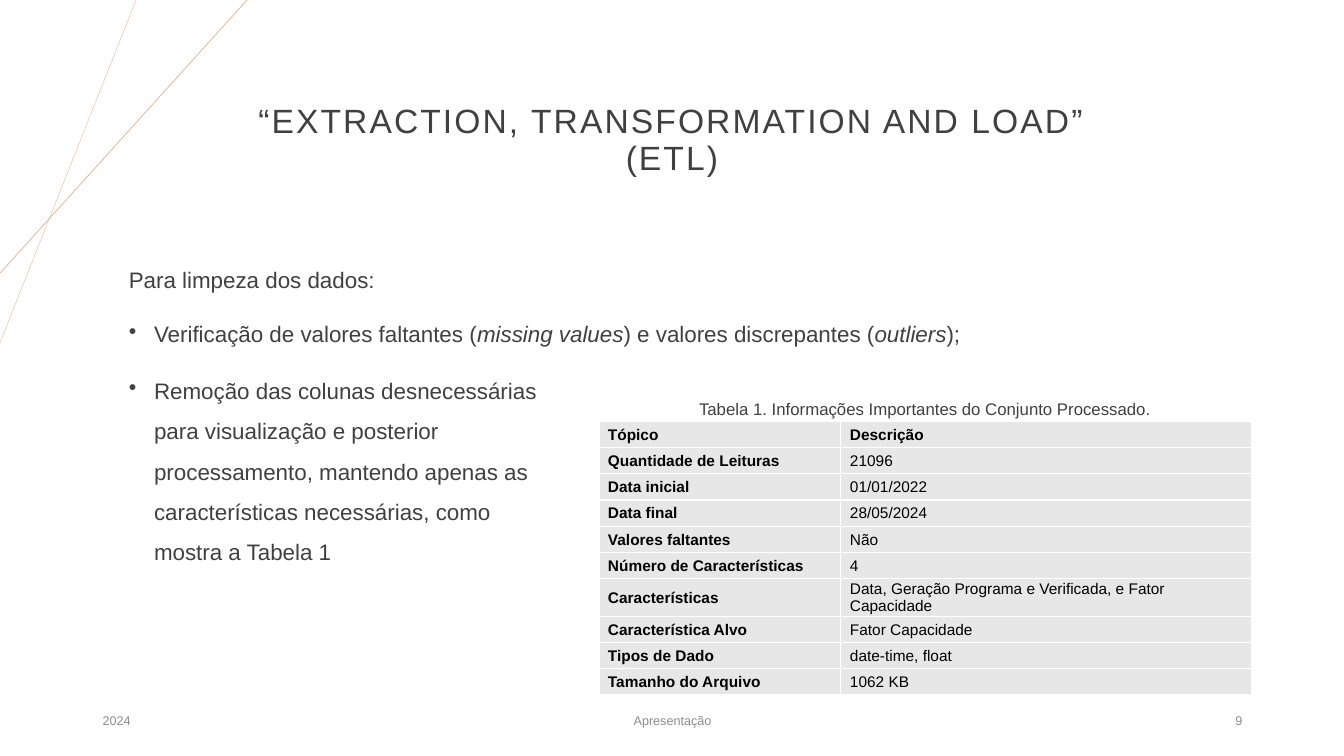
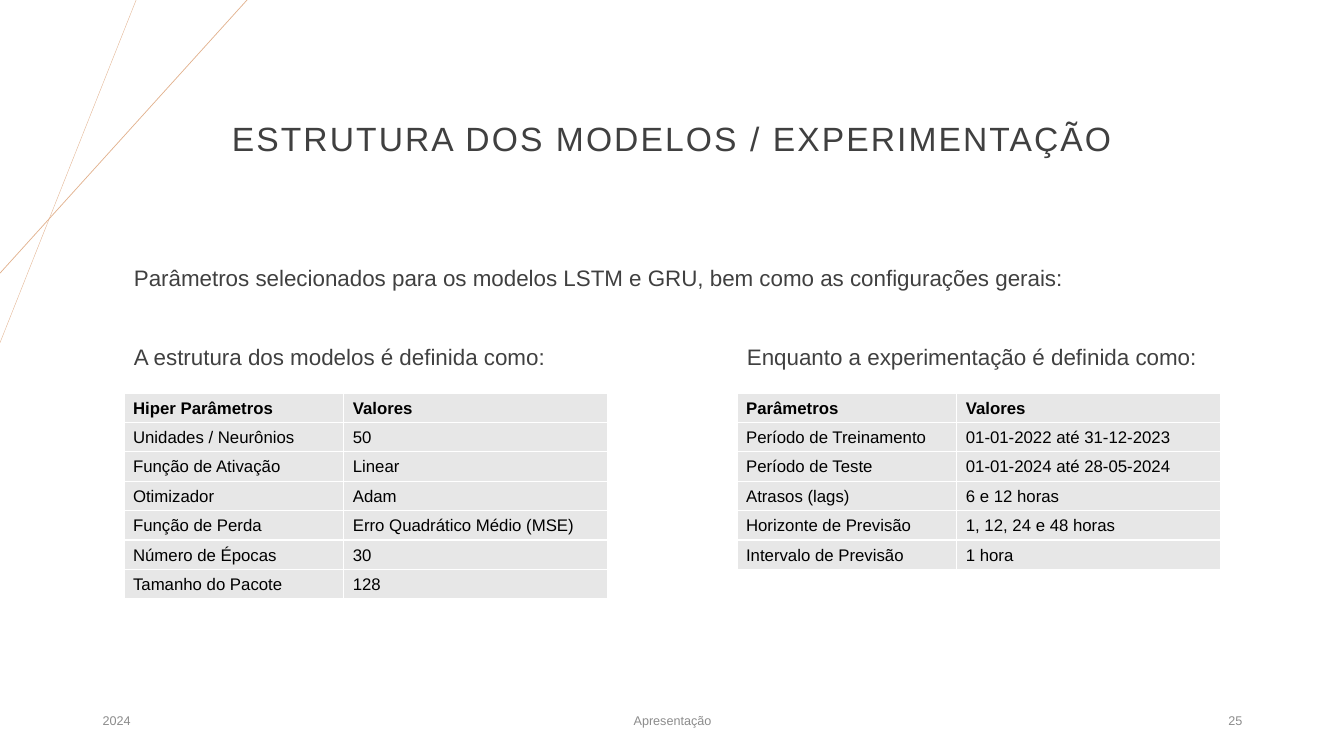
from pptx import Presentation
from pptx.dml.color import RGBColor as Rgb
from pptx.enum.shapes import MSO_CONNECTOR as Conn
from pptx.enum.text import MSO_ANCHOR as Anchor, PP_ALIGN as Align
from pptx.oxml import parse_xml
from pptx.oxml.ns import nsdecls
from pptx.util import Pt

UNIT = 9144  # EMU in one px, 100 px to the inch
FONT = "Arial"
INK, GREY, ACCENT = "404040", "8C8C8C", "E2B18D"
BLACK, WHITE, CELL = "000000", "FFFFFF", "E7E7E7"

TOPICS = [
    ("Tópico", "Descrição"),
    ("Quantidade de Leituras", "21096"),
    ("Data inicial", "01/01/2022"),
    ("Data final", "28/05/2024"),
    ("Valores faltantes", "Não"),
    ("Número de Características", "4"),
    ("Características",
     "Data, Geração Programa e Verificada, e Fator Capacidade"),
    ("Característica Alvo", "Fator Capacidade"),
    ("Tipos de Dado", "date-time, float"),
    ("Tamanho do Arquivo", "1062 KB"),
]
MODEL = [
    ("Hiper Parâmetros", "Valores"),
    ("Unidades / Neurônios", "50"),
    ("Função de Ativação", "Linear"),
    ("Otimizador", "Adam"),
    ("Função de Perda", "Erro Quadrático Médio (MSE)"),
    ("Número de Épocas", "30"),
    ("Tamanho do Pacote", "128"),
]
TRIAL = [
    ("Parâmetros", "Valores"),
    ("Período de Treinamento", "01-01-2022 até 31-12-2023"),
    ("Período de Teste", "01-01-2024 até 28-05-2024"),
    ("Atrasos (lags)", "6 e 12 horas"),
    ("Horizonte de Previsão", "1, 12, 24 e 48 horas"),
    ("Intervalo de Previsão", "1 hora"),
]


def px(*sizes):
    return [size * UNIT for size in sizes]


def color(code):
    return Rgb.from_string(code)


def style(run, size, code, bold=False, italic=False):
    font = run.font
    font.name, font.size = FONT, Pt(size)
    font.bold, font.italic = bold, italic
    font.color.rgb = color(code)


def add_bullet(para):
    props = para._p.get_or_add_pPr()
    props.set("marL", str(25 * UNIT))
    props.set("indent", str(-25 * UNIT))
    props.append(parse_xml(f'<a:buChar {nsdecls("a")} char="•"/>'))


def add_text(slide, area, lines, size=16, code=INK, align=Align.LEFT,
             space=1.5, anchor=Anchor.TOP):
    """Words between asterisks are italic; a leading bullet makes a list item."""
    frame = slide.shapes.add_textbox(*px(*area)).text_frame
    frame.word_wrap = True
    frame.vertical_anchor = anchor
    for i, line in enumerate(lines):
        para = frame.add_paragraph() if i else frame.paragraphs[0]
        if line.startswith("•"):
            add_bullet(para)
        para.alignment, para.line_spacing = align, space
        if i:
            para.space_before = Pt(10)
        for j, part in enumerate(line.removeprefix("•").split("*")):
            run = para.add_run()
            run.text = part
            style(run, size, code, italic=j % 2 == 1)
    return frame


def add_line(slide, start, end, width):
    line = slide.shapes.add_connector(Conn.STRAIGHT, *px(*start, *end))
    line.line.color.rgb = color(ACCENT)
    line.line.width = Pt(width)
    line._element.spPr.append(parse_xml(f'<a:effectLst {nsdecls("a")}/>'))


def add_edges(cell):
    props = cell._tc.get_or_add_tcPr()
    for side in "LRTB":
        props.append(parse_xml(
            f'<a:ln{side} {nsdecls("a")} w="12700"><a:solidFill>'
            f'<a:srgbClr val="{WHITE}"/></a:solidFill></a:ln{side}>'))


def add_grid(slide, spot, cols, height, rows, size=12, lead=False):
    """With lead, the first column is bold as well as the first row."""
    shape = slide.shapes.add_table(
        len(rows), len(cols), *px(*spot, sum(cols), height))
    table = shape.table
    table.horz_banding = False
    for col, width in zip(table.columns, px(*cols)):
        col.width = width
    for row in table.rows:
        row.height = height * UNIT // len(rows)
    for i, row in enumerate(rows):
        for j, text in enumerate(row):
            cell = table.cell(i, j)
            add_edges(cell)
            cell.fill.solid()
            cell.fill.fore_color.rgb = color(CELL)
            cell.vertical_anchor = Anchor.MIDDLE
            (cell.margin_left, cell.margin_top,
             cell.margin_right, cell.margin_bottom) = px(9, 1, 1, 0)
            cell.text_frame.text = text
            bold = i == 0 or (lead and j == 0)
            style(cell.text_frame.paragraphs[0].runs[0], size, BLACK, bold)


def add_page(deck, title, number):
    """Adds a slide with the corner lines, title and footer."""
    slide = deck.slides.add_slide(deck.slide_layouts[6])
    add_line(slide, (135, 0), (0, 340), 0.25)
    add_line(slide, (245, 0), (0, 271), 0.5)
    head = add_text(slide, (206, 98, 921, 84), [title], 24,
                    align=Align.CENTER, space=0.9, anchor=Anchor.MIDDLE)
    head.paragraphs[0].runs[0].font._element.set("spc", "150")
    for left, width, text, align in (
            (92, 300, "2024", Align.LEFT),
            (442, 450, "Apresentação", Align.CENTER),
            (942, 300, number, Align.RIGHT)):
        add_text(slide, (left, 695, width, 40), [text], 9, GREY, align,
                 1, Anchor.MIDDLE)
    return slide


def add_clean(deck):
    slide = add_page(deck, "“EXTRACTION, TRANSFORMATION AND LOAD” (ETL)", "9")
    add_text(slide, (118, 246, 1123, 110), [
        "Para limpeza dos dados:",
        "•Verificação de valores faltantes (*missing values*) e valores "
        "discrepantes (*outliers*);"])
    add_grid(slide, (594, 418), (240, 407), 260, TOPICS, 11, True)
    add_text(slide, (118, 356, 450, 260), [
        "•Remoção das colunas desnecessárias para visualização e posterior "
        "processamento, mantendo apenas as características necessárias, "
        "como mostra a Tabela 1"])
    add_text(slide, (594, 381, 647, 38),
             ["Tabela 1. Informações Importantes do Conjunto Processado."],
             12, align=Align.CENTER)


def add_setup(deck):
    slide = add_page(deck, "ESTRUTURA DOS MODELOS / EXPERIMENTAÇÃO", "25")
    add_text(slide, (123, 244, 1087, 68), [
        "Parâmetros selecionados para os modelos LSTM e GRU, bem como as "
        "configurações gerais:"])
    for left, height, label, rows in (
            (123, 204, "A estrutura dos modelos é definida como:", MODEL),
            (731, 175, "Enquanto a experimentação é definida como:", TRIAL)):
        add_text(slide, (left, 322, 480, 68), [label])
        add_grid(slide, (left, 390), (218, 262), height, rows)


def main():
    deck = Presentation()
    deck.slide_width, deck.slide_height = px(1333, 750)
    add_clean(deck)
    add_setup(deck)
    deck.save("out.pptx")


if __name__ == "__main__":
    main()
